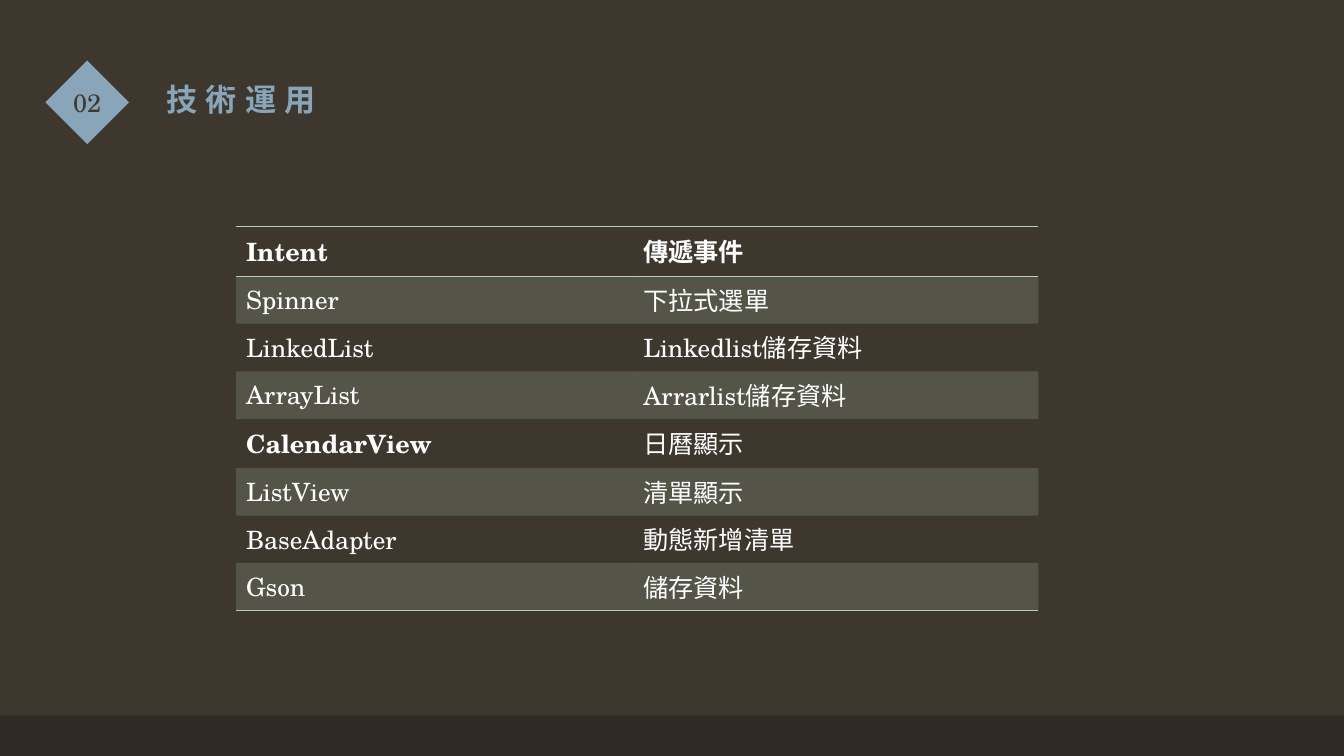
"""Build a slide with a numbered title and a table of the techniques used."""
from dataclasses import dataclass

from lxml import etree
from pptx import Presentation
from pptx import util as u
from pptx.dml import color
from pptx.enum import shapes, text
from pptx.oxml import ns


@dataclass(frozen=True)
class Theme:
    background: str = "3D372E"
    footer: str = "2E2923"
    accent: str = "88A5BA"
    table: str = "B2D0B4"
    body: str = "FFFFFF"
    font: str = "TeX Gyre Schola"
    title_size: float = 22.2
    body_size: float = 18


theme = Theme()


def write(tf, content, size=theme.body_size, color_hex=theme.body, bold=False,
          align=text.PP_ALIGN.LEFT, spacing=0):
    p = tf.paragraphs[0]
    p.alignment = align
    r = p.add_run()
    r.text = content
    r.font.name = theme.font
    r.font.size = u.Pt(size)
    r.font.bold = bold
    r.font.color.rgb = color.RGBColor.from_string(color_hex)
    if spacing:
        r.font._element.set("spc", str(spacing * 100))


def add_border(cell, side):
    ln = etree.SubElement(cell._tc.get_or_add_tcPr(), ns.qn(f"a:ln{side}"), w=str(u.Pt(1)))
    fill = etree.SubElement(ln, ns.qn("a:solidFill"))
    etree.SubElement(fill, ns.qn("a:srgbClr"), val=theme.table)


prs = Presentation()
prs.slide_width, prs.slide_height = u.Inches(13.33), u.Inches(7.5)
s = prs.slides.add_slide(prs.slide_layouts[5])
s.background.fill.solid()
s.background.fill.fore_color.rgb = color.RGBColor.from_string(theme.background)

panels = [
    (shapes.MSO_SHAPE.RECTANGLE, (0, 7.1, 13.33, 0.4), theme.footer, ""),
    (shapes.MSO_SHAPE.DIAMOND, (0.45, 0.6, 0.83, 0.83), theme.accent, "02"),
]
for kind, box, fill, label in panels:
    sp = s.shapes.add_shape(kind, *map(u.Inches, box))
    sp.shadow.inherit = False
    sp.fill.solid()
    sp.fill.fore_color.rgb = color.RGBColor.from_string(fill)
    sp.line.fill.background()
    if label:
        tf = sp.text_frame
        tf.margin_left = tf.margin_right = tf.margin_top = tf.margin_bottom = 0
        tf.word_wrap = False
        tf.vertical_anchor = text.MSO_ANCHOR.MIDDLE
        write(tf, label, color_hex=theme.background, align=text.PP_ALIGN.CENTER)

title = s.shapes.title
title.left, title.top, title.width, title.height = map(u.Inches, (1.26, 0.85, 3.2, 0.32))
tf = title.text_frame
tf.margin_left = u.Inches(0.39)
tf.margin_right = tf.margin_top = tf.margin_bottom = 0
tf.word_wrap = True
tf.auto_size = text.MSO_AUTO_SIZE.NONE
tf.vertical_anchor = text.MSO_ANCHOR.BOTTOM
write(tf, "技術運用", size=theme.title_size, color_hex=theme.accent, bold=True, spacing=6)

techniques = [
    ("Intent", "傳遞事件"),
    ("Spinner", "下拉式選單"),
    ("LinkedList", "Linkedlist儲存資料"),
    ("ArrayList", "Arrarlist儲存資料"),
    ("CalendarView", "日曆顯示"),
    ("ListView", "清單顯示"),
    ("BaseAdapter", "動態新增清單"),
    ("Gson", "儲存資料"),
]
bold_cells = {"Intent", "傳遞事件", "CalendarView"}
borders = {0: "TB", len(techniques) - 1: "B"}

frame = s.shapes.add_table(len(techniques), 2, *map(u.Inches, (2.34, 2.25, 7.96, 3.79)))
table = frame.table
table.first_row = table.horz_banding = False
NO_STYLE_NO_GRID = "{2D5ABB26-0587-4C30-8999-92F81FD0307C}"
table._tbl.tblPr.find(ns.qn("a:tableStyleId")).text = NO_STYLE_NO_GRID
for column, width in zip(table.columns, (3.94, 4.02)):
    column.width = u.Inches(width)

for i, technique in enumerate(techniques):
    table.rows[i].height = u.Inches(0.47 if i else 0.49)
    for cell, content in zip(table.rows[i].cells, technique):
        write(cell.text_frame, content, bold=content in bold_cells)
        for side in borders.get(i, ""):
            add_border(cell, side)
        if i % 2:
            cell.fill.solid()
            cell.fill.fore_color.rgb = color.RGBColor.from_string(theme.table)
            rgb = cell._tc.tcPr.find(f"{ns.qn('a:solidFill')}/{ns.qn('a:srgbClr')}")
            etree.SubElement(rgb, ns.qn("a:alpha"), val="20000")
        else:
            cell.fill.background()

prs.save("out.pptx")
